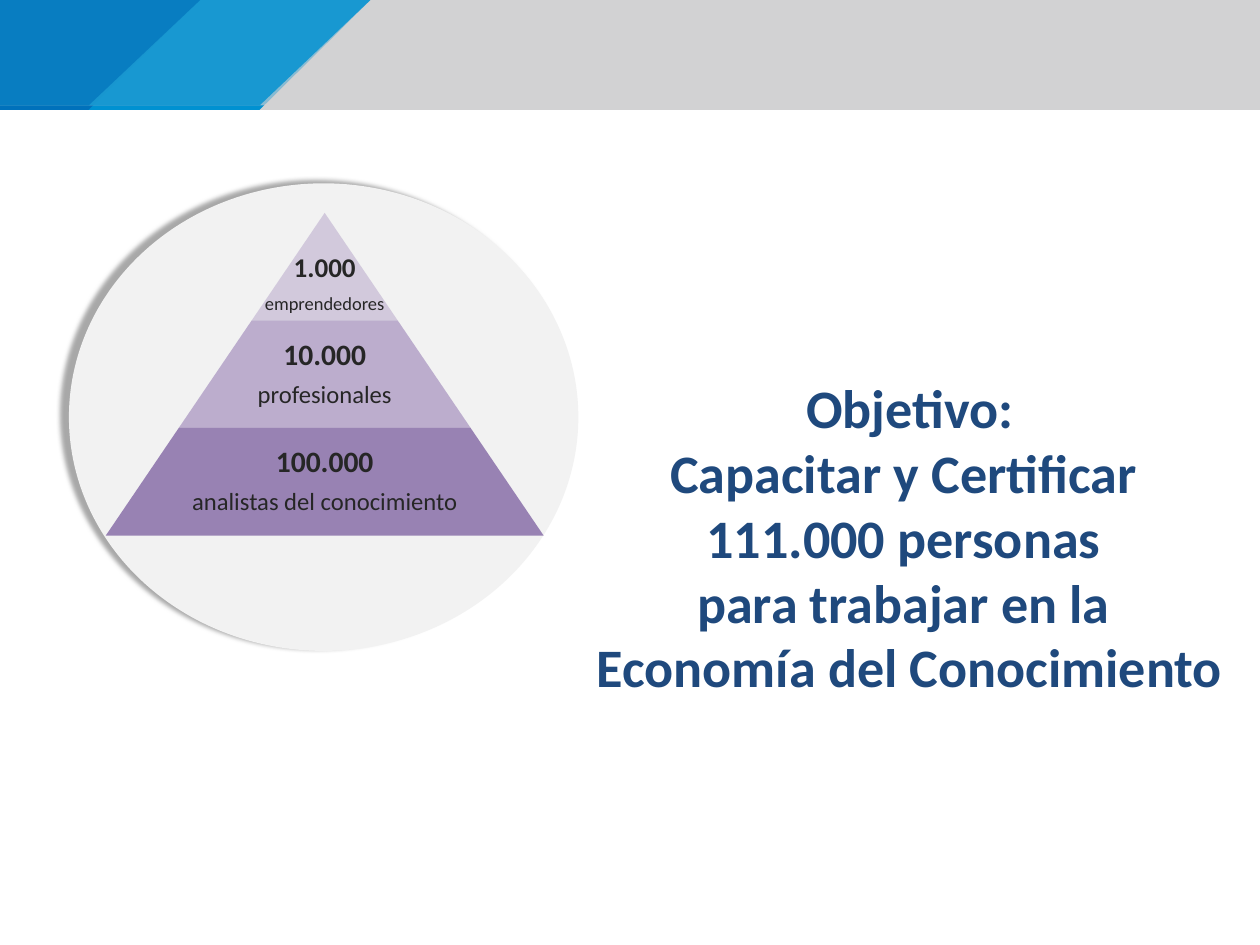
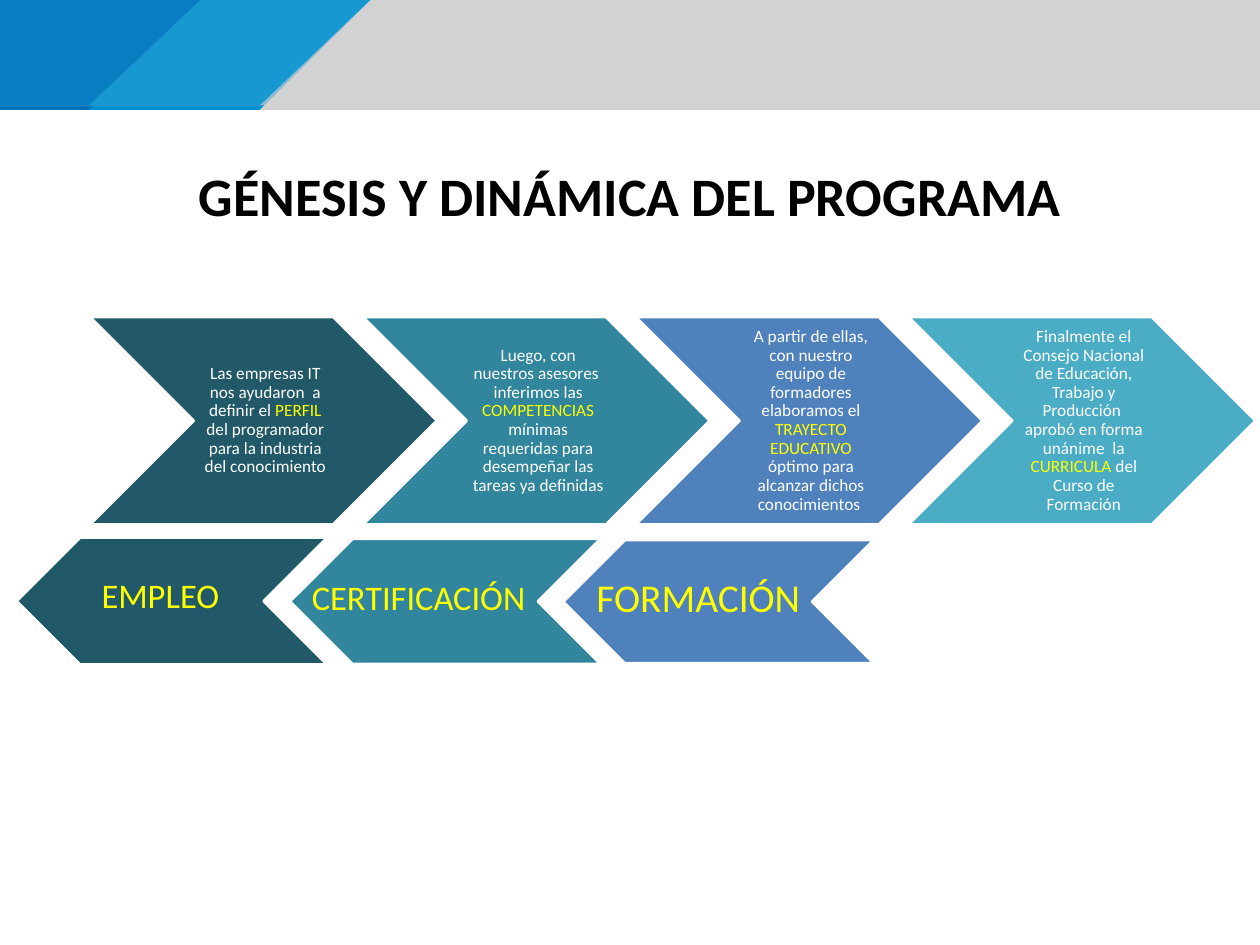
from pptx import Presentation
from pptx.dml.color import RGBColor as RGB
from pptx.enum import shapes as es, text as et
from pptx.oxml import ns
from pptx.oxml.xmlchemy import OxmlElement
from pptx.util import Pt

WIDE, HIGH = 1024, 768
FONT = "Calibri"
WHITE, BLACK = RGB(255, 255, 255), RGB(0, 0, 0)
GREY, SKY, BLUE = RGB(0xD2, 0xD2, 0xD3), RGB(0, 0x91, 0xD1), RGB(0, 0x71, 0xBB)
NAVY, INK, PALE = RGB(0x1F, 0x49, 0x7D), RGB(0x26, 0x26, 0x26), RGB(0xF2, 0xF2, 0xF2)
LILAC, PLUM = RGB(0xB3, 0xA2, 0xC7), RGB(0x89, 0x6F, 0xA9)
PINE, TEAL = RGB(0x21, 0x59, 0x68), RGB(0x31, 0x85, 0x9C)
STEEL, AQUA = RGB(0x4F, 0x81, 0xBD), RGB(0x4B, 0xAC, 0xC6)
YELLOW, SHADE = RGB(255, 255, 0), "808080"


# Shared helpers
def add_node(parent, tag, **attrs):
    node = OxmlElement(tag)
    for key, val in attrs.items():
        node.set(key, str(val))
    parent.append(node)
    return node


def paint(shape, color, alpha=100, edge=None):
    shape.shadow.inherit = False
    shape.fill.solid()
    shape.fill.fore_color.rgb = color
    if alpha < 100:
        tint = shape.element.spPr.find(".//" + ns.qn("a:srgbClr"))
        add_node(tint, "a:alpha", val=alpha * 1000)
    if edge is None:
        shape.line.fill.background()
    else:
        shape.line.color.rgb = edge
        shape.line.width = Pt(2)


def add_form(slide, kind, box, color, alpha=100, edge=None):
    shape = slide.shapes.add_shape(kind, *map(Pt, box))
    paint(shape, color, alpha, edge)
    return shape


def set_font(para, size, color, bold=False):
    para.alignment = et.PP_ALIGN.CENTER
    font = para.font
    font.name, font.size, font.bold = FONT, Pt(size), bold
    font.color.rgb = color


def set_frame(frame, insets, anchor):
    frame.word_wrap = True
    frame.auto_size = et.MSO_AUTO_SIZE.NONE
    frame.vertical_anchor = anchor
    (frame.margin_left, frame.margin_top,
     frame.margin_right, frame.margin_bottom) = map(Pt, insets)


def add_label(slide, box, paras, insets, lead=0.9):
    """Each paragraph is (size, color, bold, [(words, color or None)])."""
    frame = slide.shapes.add_textbox(*map(Pt, box)).text_frame
    set_frame(frame, insets, et.MSO_ANCHOR.MIDDLE)
    for i, (size, color, bold, runs) in enumerate(paras):
        para = frame.add_paragraph() if i else frame.paragraphs[0]
        set_font(para, size, color, bold)
        para.line_spacing = lead
        para.space_after = Pt(round(size * 0.35, 1))
        for words, accent in runs:
            run = para.add_run()
            run.text = words
            if accent is not None:
                run.font.color.rgb = accent


def set_title(slide, box, words, color):
    title = slide.shapes.title
    title.left, title.top, title.width, title.height = map(Pt, box)
    set_frame(title.text_frame, (0, 0, 0, 0), et.MSO_ANCHOR.TOP)
    title.text_frame.text = words
    set_font(title.text_frame.paragraphs[0], 44, color, True)


# Header band, drawn once and kept in the layout
def add_band(slide, layout):
    tall, low = 89.3, 85.7
    strips = [  # top right, bottom right, top, bottom, color, alpha
        (WIDE, WIDE, 0, tall, GREY, 100),
        (301, 211, 0, tall, SKY, 100),
        (162.7, 72, 0, tall, BLUE, 100),
        (WIDE, WIDE, 0, low, GREY, 65),
        (301, 211, 0, low, SKY, 82),
        (162.7, 72, 0, low, BLUE, 65)]
    for i, (upper, lower, top, base, color, alpha) in enumerate(strips):
        pen = slide.shapes.build_freeform(Pt(upper), Pt(top))
        pen.add_line_segments([(Pt(0), Pt(top)), (Pt(0), Pt(base)),
                               (Pt(lower), Pt(base))], close=True)
        strip = pen.convert_to_shape()
        paint(strip, color, alpha)
        layout.shapes.element.insert(2 + i, strip.element)


# Disc with soft shadow
def add_disc(slide, box):
    disc = add_form(slide, es.MSO_SHAPE.OVAL, box, PALE)
    glow = disc.element.spPr.find(ns.qn("a:effectLst"))
    shadow = add_node(glow, "a:outerShdw", blurRad=Pt(4), dist=Pt(7),
                      dir=197 * 60000, algn="ctr", rotWithShape=0)
    add_node(add_node(shadow, "a:srgbClr", val=SHADE), "a:alpha", val=67000)


# Three-level pyramid
def add_pyramid(slide, box):
    left, top, width, height = box
    levels = [  # count, size, people, size, fill, alpha
        ("1.000", 22, "emprendedores", 15, LILAC, 50),
        ("10.000", 24, "profesionales", 20, LILAC, 85),
        ("100.000", 24, "analistas del conocimiento", 20, PLUM, 85)]
    step, grow = height / len(levels), width / len(levels)
    for i, (count, big, people, small, color, alpha) in enumerate(levels):
        wide, y = grow * (i + 1), top + step * i
        x = left + (width - wide) / 2
        tier = add_form(slide, es.MSO_SHAPE.TRAPEZOID, (x, y, wide, step), color, alpha)
        tier.adjustments[0] = grow / 2 / step
        room = wide * 0.65 if i else wide
        add_label(slide, (x + (wide - room) / 2, y, room, step),
                  [(big, INK, True, [(count, None)]),
                   (small, INK, False, [(people, None)])],
                  (2, 2, 2, 2) if i else (1.5, 27, 1.5, 1.5),
                  0.9 if i else 1.0)


# Row of steps pointing right
def add_steps(slide, box):
    left, top, width, height = box
    steps = [
        (PINE, "Las empresas IT nos ayudaron  a definir el ", "PERFIL ",
         "del programador para la industria del conocimiento"),
        (TEAL, "Luego, con nuestros asesores  inferimos las ", "COMPETENCIAS",
         " mínimas requeridas para desempeñar las tareas ya definidas"),
        (STEEL, "A partir de ellas, con nuestro equipo de formadores elaboramos el ",
         "TRAYECTO EDUCATIVO", " óptimo para alcanzar dichos conocimientos "),
        (AQUA, "Finalmente el Consejo Nacional de Educación, Trabajo y "
         "Producción  aprobó en forma unánime  la ", "CURRICULA",
         " del Curso de Formación")]
    wide = 281.6
    gap = (width - wide) / (len(steps) - 1)
    for i, (color, start, key, end) in enumerate(steps):
        x = left + gap * i
        add_form(slide, es.MSO_SHAPE.CHEVRON, (x, top, wide, height), color, edge=WHITE)
        add_label(slide, (x + height / 2, top, 113, height),
                  [(14, WHITE, False, [(start, WHITE), (key, YELLOW), (end, WHITE)])],
                  (4.5, 1.5, 1.5, 1.5))


# Row of results pointing left
def add_goals(slide, box):
    left, top, width, height = box
    goals = [  # words, size, fill, label offset, label width, label middle
        ("EMPLEO", 28, PINE, 36, 157.7, 48.3),
        ("CERTIFICACIÓN", 28, TEAL, 11.5, 182.2, 50.4),
        ("FORMACIÓN", 32, STEEL, 8.6, 198.7, 50.4)]
    wide, tall = 252, 49
    gap = (width - wide) / (len(goals) - 1)
    for i, (words, size, color, shift, room, mid) in enumerate(goals):
        x = left + gap * i
        goal = add_form(slide, es.MSO_SHAPE.CHEVRON,
                        (x, top + i, wide, height - 1.5 * i), color, edge=WHITE)
        goal.element.spPr.find(ns.qn("a:xfrm")).set("flipH", "1")
        add_label(slide, (x + shift, top + mid - tall / 2, room, tall),
                  [(size, YELLOW, False, [(words, None)])], (5, 1.5, 1.5, 1.5))


# Slides
def add_aim(slide):
    set_title(slide, (458, 304, 563, 320),
              "Objetivo:\vCapacitar y Certificar \v111.000 personas \v"
              "para trabajar en la \vEconomía del Conocimiento", NAVY)
    add_disc(slide, (56, 149, 414, 380))
    add_pyramid(slide, (86, 173, 355.8, 262.2))


def add_origin(slide):
    set_title(slide, (77, 132, 870.5, 53), "GÉNESIS Y DINÁMICA DEL PROGRAMA", BLACK)
    add_steps(slide, (73.4, 257.7, 946.8, 168.5))
    add_goals(slide, (13.7, 437, 696.2, 103))


deck = Presentation()
deck.slide_width, deck.slide_height = Pt(WIDE), Pt(HIGH)
plain = deck.slide_layouts[5]
aim, origin = (deck.slides.add_slide(plain) for _ in range(2))
add_band(aim, plain)
add_aim(aim)
add_origin(origin)
deck.save("out.pptx")
